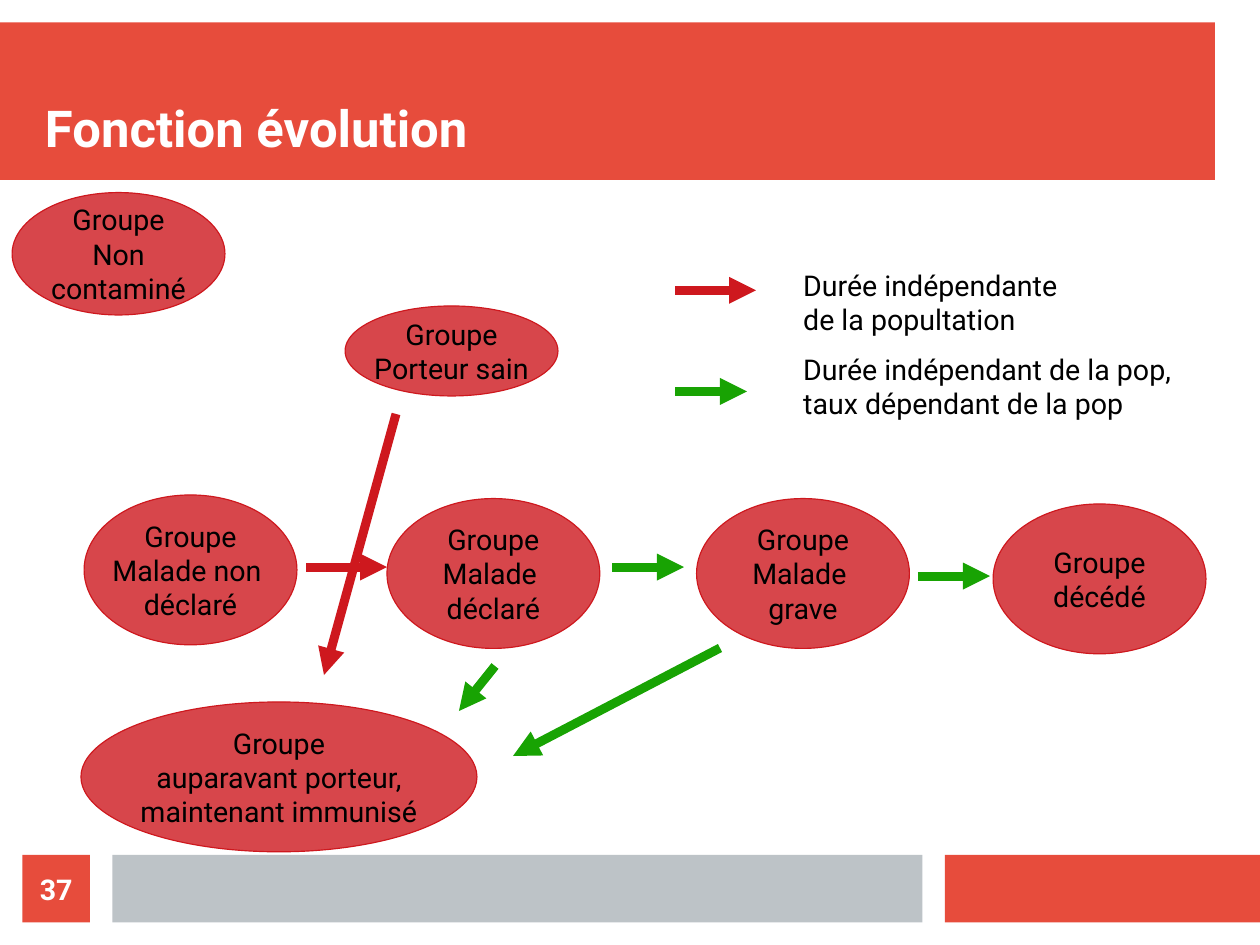
from lxml.etree import SubElement
from pptx import Presentation
from pptx.dml.color import RGBColor
from pptx.enum.shapes import MSO_CONNECTOR, MSO_SHAPE
from pptx.enum.text import MSO_ANCHOR, MSO_AUTO_SIZE, PP_ALIGN
from pptx.oxml.ns import qn
from pptx.util import Cm, Pt

CORAL = RGBColor(0xE7, 0x4C, 0x3C)
GREY = RGBColor(0xBD, 0xC3, 0xC7)
RED = RGBColor(0xCE, 0x18, 0x1E)
GREEN = RGBColor(0x18, 0xA3, 0x03)
BLACK = RGBColor(0, 0, 0)
WHITE = RGBColor(0xFF, 0xFF, 0xFF)


def add_filled(kind, box, color):
    shape = slide.shapes.add_shape(kind, *map(Cm, box))
    shape.shadow.inherit = False
    shape.fill.solid()
    shape.fill.fore_color.rgb = color
    shape.line.fill.background()
    return shape


def style_text(frame, size, color, align, bold=False):
    for paragraph in frame.paragraphs:
        paragraph.alignment = align
        paragraph.font.name = "Roboto"
        paragraph.font.size = Pt(size)
        paragraph.font.bold = bold
        paragraph.font.color.rgb = color


prs = Presentation()
prs.slide_width, prs.slide_height = Cm(28), Cm(21)
slide = prs.slides.add_slide(prs.slide_layouts[5])

for band, color in [
    ((0, 0.5, 27, 3.5), CORAL),
    ((21, 19, 7, 1.5), CORAL),
    ((2.5, 19, 18, 1.5), GREY),
]:
    add_filled(MSO_SHAPE.RECTANGLE, band, color)

title = slide.shapes.title
title.element.getparent().append(title.element)
title.left, title.top, title.width, title.height = Cm(1), Cm(1), Cm(26), Cm(2.5)
heading = title.text_frame
heading.text = "Fonction évolution"
heading.auto_size = MSO_AUTO_SIZE.NONE
heading.vertical_anchor = MSO_ANCHOR.BOTTOM
heading.margin_left = heading.margin_right = heading.margin_top = heading.margin_bottom = 0
style_text(heading, 32, WHITE, PP_ALIGN.LEFT, bold=True)

groups = [
    ("Groupe\nNon\vcontaminé", 0.27, 4.28, 4.73, 2.72),
    ("Groupe\nPorteur sain", 7.67, 6.8, 4.73, 2),
    ("Groupe\nMalade non \vdéclaré", 1.87, 11, 4.73, 3.33),
    ("Groupe\nMalade \vdéclaré", 8.6, 11.08, 4.73, 3.33),
    ("Groupe\vauparavant porteur,\vmaintenant immunisé", 1.8, 15.6, 8.8, 3.33),
    ("Groupe\nMalade \vgrave", 15.48, 11.08, 4.73, 3.33),
    ("Groupe\ndécédé", 22.07, 11.2, 4.73, 3.33),
]
for label, *box in groups:
    group = add_filled(MSO_SHAPE.OVAL, box, RED)
    fill_color = group.fill._xPr.find(qn("a:solidFill"))[0]
    SubElement(fill_color, qn("a:alpha"), val="80000")
    group.line.color.rgb = RED
    group.line.width = Pt(0)
    group.text_frame.text = label
    group.text_frame.word_wrap = False
    group.text_frame.vertical_anchor = MSO_ANCHOR.MIDDLE
    style_text(group.text_frame, 18, BLACK, PP_ALIGN.CENTER)

for meaning, top, width in [
    ("Durée indépendante de la popultation", 5.82, 6.8),
    ("Durée indépendant de la pop, taux dépendant de la pop", 7.7, 9.8),
]:
    legend = slide.shapes.add_textbox(Cm(17.6), Cm(top), Cm(width), Cm(2)).text_frame
    legend.word_wrap = True
    legend.text = meaning
    style_text(legend, 18, BLACK, PP_ALIGN.LEFT)

arrows = [
    (RED, 15, 6.45, 16.8, 6.45),
    (RED, 6.8, 12.6, 8.6, 12.6),
    (RED, 8.8, 9.2, 7.2, 15),
    (GREEN, 13.6, 12.6, 15.2, 12.6),
    (GREEN, 15, 8.7, 16.6, 8.7),
    (GREEN, 11, 14.8, 10.2, 15.8),
    (GREEN, 20.4, 12.8, 22, 12.8),
    (GREEN, 16, 14.4, 11.4, 16.8),
]
for color, *ends in arrows:
    arrow = slide.shapes.add_connector(MSO_CONNECTOR.STRAIGHT, *map(Cm, ends))
    arrow.line.color.rgb = color
    arrow.line.width = Pt(5.67)
    SubElement(arrow.line._get_or_add_ln(), qn("a:tailEnd"), type="triangle")
    SubElement(arrow.element.spPr, qn("a:effectLst"))

page_number = add_filled(MSO_SHAPE.RECTANGLE, (0.5, 19, 1.5, 1.5), CORAL).text_frame
page_number.text = "37"
page_number.margin_left = page_number.margin_right = 0
page_number.margin_top = page_number.margin_bottom = 0
page_number.vertical_anchor = MSO_ANCHOR.MIDDLE
style_text(page_number, 18, WHITE, PP_ALIGN.CENTER, bold=True)

prs.save("out.pptx")
